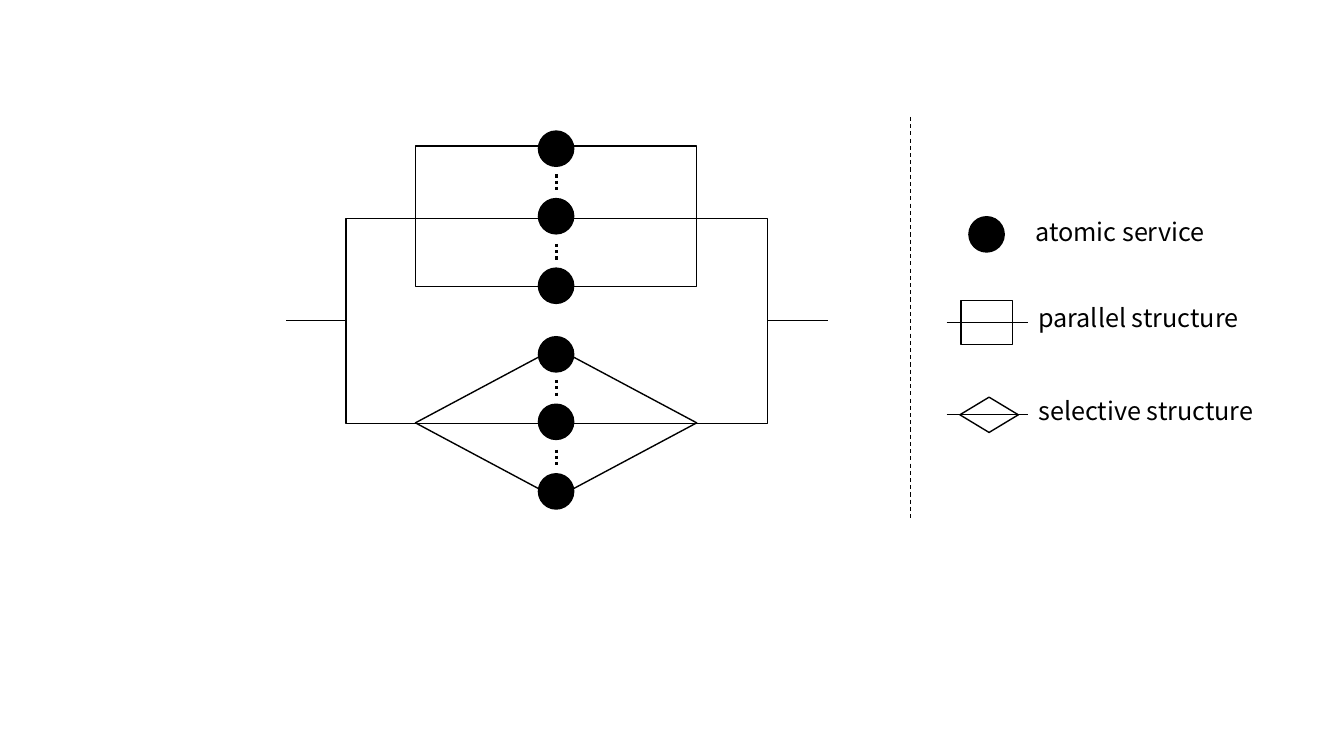
from lxml import etree
from pptx import Presentation
from pptx.dml.color import RGBColor
from pptx.enum.dml import MSO_LINE
from pptx.enum.shapes import MSO_CONNECTOR, MSO_SHAPE
from pptx.oxml.ns import qn
from pptx.util import Inches, Pt

STRAIGHT = MSO_CONNECTOR.STRAIGHT
CIRCLE = MSO_SHAPE.OVAL
RECTANGLE = MSO_SHAPE.RECTANGLE
DIAMOND = MSO_SHAPE.FLOWCHART_DECISION
DOTTED = MSO_LINE.ROUND_DOT  # written to the file as sysDot
DASHED = MSO_LINE.DASH
COLORS = {"ink": "000000", "paper": "FFFFFF"}
INK = RGBColor.from_string(COLORS["ink"])
FONT = "Noto Sans CJK SC"
DOT_SIZE = 0.35

deck = Presentation()
deck.slide_width, deck.slide_height = Inches(13.33), Inches(7.5)
page = deck.slides.add_slide(deck.slide_layouts[6])
page.background.fill.solid()
page.background.fill.fore_color.rgb = RGBColor.from_string(COLORS["paper"])


def add_figure(kind, left, top, width, height, fill=None):
    """Add a preset shape with a thin black outline and an optional fill."""
    shape = page.shapes.add_shape(
        kind, Inches(left), Inches(top), Inches(width), Inches(height))
    shape.shadow.inherit = False
    shape.line.color.rgb = INK
    shape.line.width = Pt(1)
    if fill:
        shape.fill.solid()
        shape.fill.fore_color.rgb = RGBColor.from_string(COLORS[fill])
    else:
        shape.fill.background()


def add_line(x1, y1, x2, y2, width=1, dash=None):
    """Add a straight black line without a shadow."""
    line = page.shapes.add_connector(
        STRAIGHT, Inches(x1), Inches(y1), Inches(x2), Inches(y2))
    line.line.color.rgb = INK
    line.line.width = Pt(width)
    if dash:
        line.line.dash_style = dash
    etree.SubElement(line._element.spPr, qn("a:effectLst"))


# Parallel and selective blocks inside the outer parallel frame
add_figure(RECTANGLE, 4.12, 1.45, 2.79, 1.39)
add_figure(DIAMOND, 4.12, 3.45, 2.79, 1.49, fill="paper")
add_figure(RECTANGLE, 3.43, 2.17, 4.18, 2.03)
for entry_left in (2.84, 7.62):
    add_line(entry_left, 3.18, entry_left + 0.59, 3.18)

# Each block holds three services joined by dotted gaps
for block_top in (1.3, 3.34):
    for service_offset in (0, 0.67, 1.36):
        add_figure(CIRCLE, 5.34, block_top + service_offset,
                   DOT_SIZE, DOT_SIZE, fill="ink")
    for gap_offset in (0.43, 1.12):
        gap_top = block_top + gap_offset
        add_line(5.52, gap_top, 5.52, gap_top + 0.17, width=2.25, dash=DOTTED)

# Legend
add_line(9.03, 1.16, 9.03, 5.16, width=0.75, dash=DASHED)
add_figure(CIRCLE, 9.61, 2.15, DOT_SIZE, DOT_SIZE, fill="ink")
add_figure(RECTANGLE, 9.53, 2.98, 0.51, 0.44, fill="paper")
add_figure(DIAMOND, 9.52, 3.94, 0.58, 0.35)
for symbol_middle in (3.2, 4.11):
    add_line(9.39, symbol_middle, 10.2, symbol_middle)

for label, left, top in (
    ("atomic service", 10.17, 2.1),
    ("parallel structure", 10.2, 2.95),
    ("selective structure", 10.2, 3.87),
):
    box = page.shapes.add_textbox(
        Inches(left), Inches(top), Inches(2.37), Inches(0.4))
    box.text_frame.word_wrap = True
    span = box.text_frame.paragraphs[0].add_run()
    span.text = label
    span.font.name = FONT
    span.font.size = Pt(18)
    span.font.color.rgb = INK

deck.save("out.pptx")
